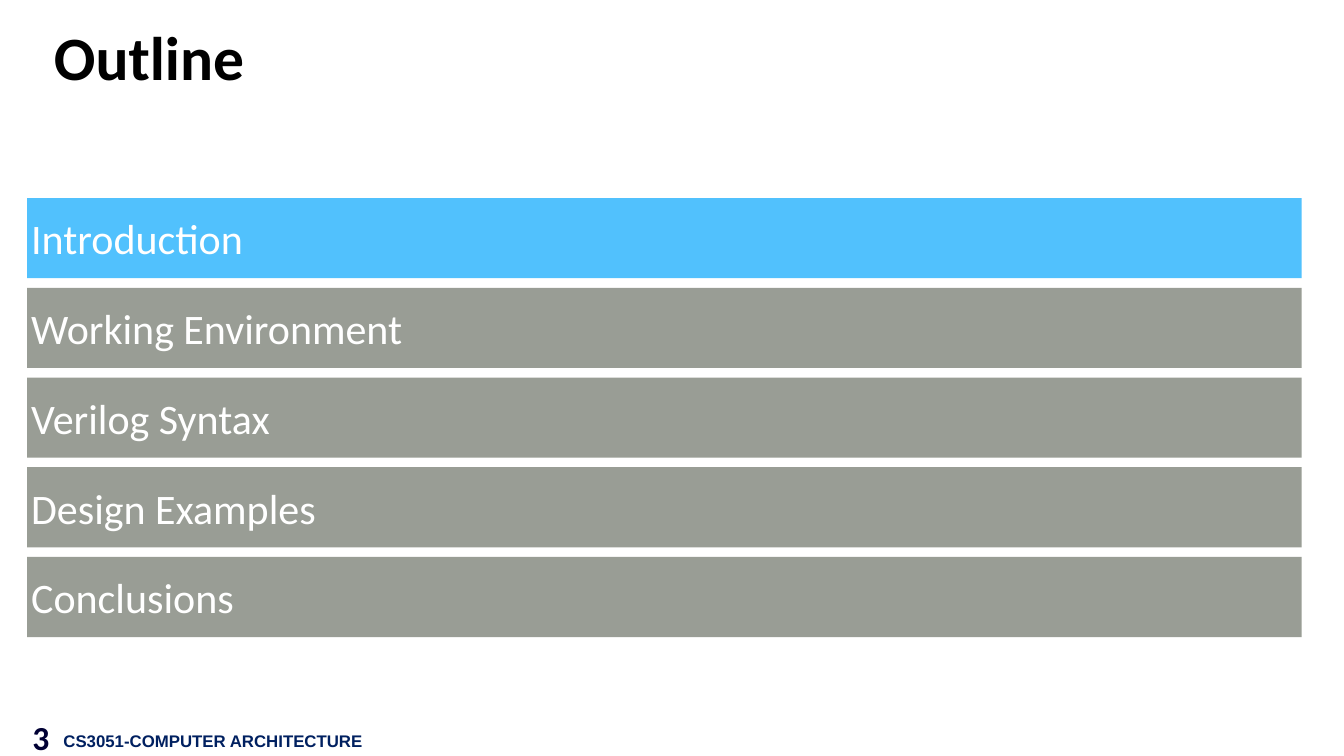
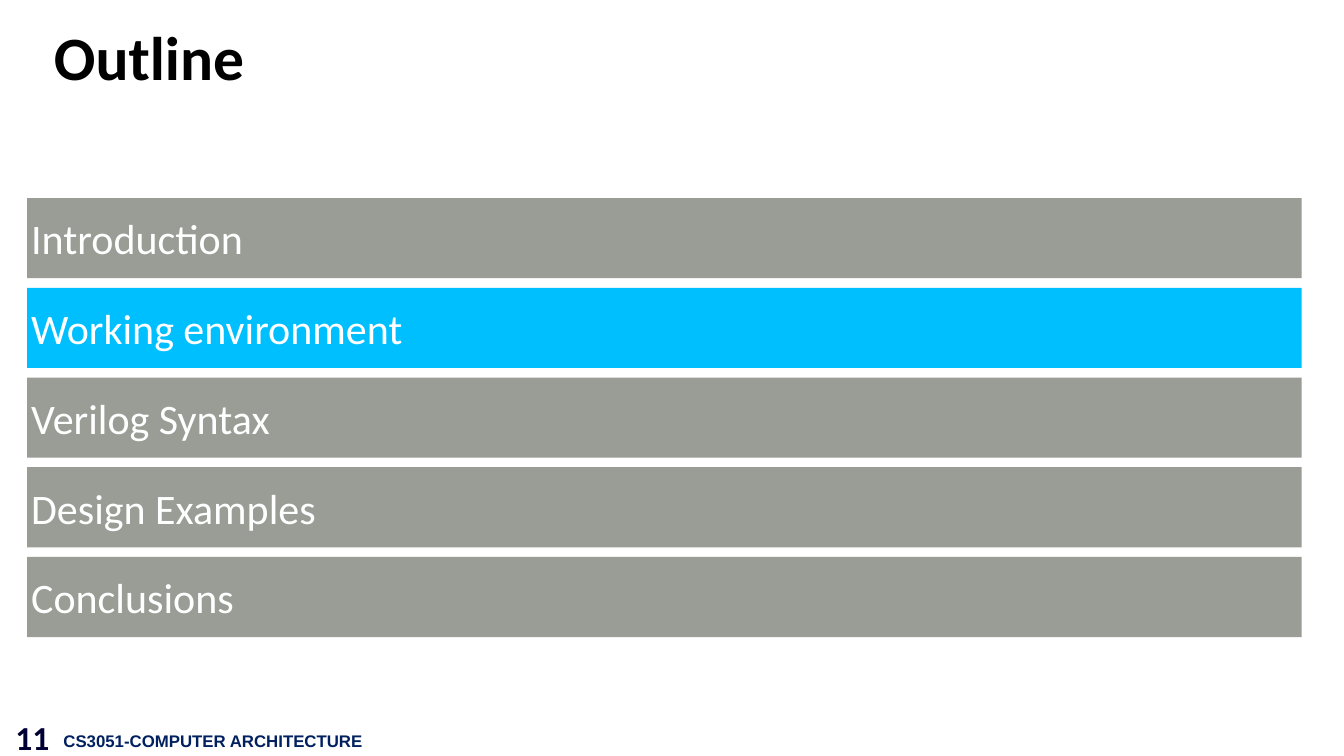
from collections import namedtuple

from pptx import Presentation
from pptx.dml.color import RGBColor
from pptx.enum.shapes import MSO_SHAPE as Shape
from pptx.enum.text import MSO_ANCHOR as Anchor, MSO_AUTO_SIZE as AutoSize, PP_ALIGN as Align
from pptx.util import Inches, Pt

SLIDE_WIDTH, SLIDE_HEIGHT = Inches(26.67), Inches(15)
COLUMN, ROW = SLIDE_WIDTH / 100, SLIDE_HEIGHT / 100
TITLE_ONLY = 5
COLORS = {
    "title": "000000",
    "number": "000034",
    "footer": "002060",
    "bar": "999D95",
    "bar_text": "FFFFFF",
    "introduction": "51C1FD",
    "environment": "00BFFF",
}

Box = namedtuple("Box", "left top width height")
TITLE_BOX = Box(3.64, 1.6, 91.08, 12.93)
AGENDA_BOX = Box(2.02, 26.2, 94.83, 58.07)
NUMBER_BOX = Box(0.3, 94.07, 3.75, 6.73)
FOOTER_BOX = Box(4.35, 96.33, 23.28, 3.33)
BAR_GAP = 1.27

OUTLINES = [
    (3, ["Introduction", "Working Environment", "Verilog Syntax", "Design Examples", "Conclusions"],
     0, "introduction"),
    (11, ["Introduction", "Working environment", "Verilog Syntax", "Design Examples", "Conclusions"],
     1, "environment"),
]


def place(box):
    """Turn a box in grid columns and rows into slide lengths."""
    return (round(box.left * COLUMN), round(box.top * ROW),
            round(box.width * COLUMN), round(box.height * ROW))


def write(shape, text, size, color, bold=True, font="Calibri", align=Align.LEFT, inset=0.1):
    """Fill a shape with one vertically centred line of text."""
    frame = shape.text_frame
    frame.text = text
    frame.word_wrap = True
    frame.auto_size = AutoSize.NONE
    frame.vertical_anchor = Anchor.MIDDLE
    frame.margin_left = frame.margin_right = Inches(inset)
    frame.margin_top = frame.margin_bottom = Inches(inset)
    paragraph = frame.paragraphs[0]
    paragraph.alignment = align
    run_font = paragraph.runs[0].font
    run_font.name, run_font.size, run_font.bold = font, Pt(size), bold
    run_font.color.rgb = RGBColor.from_string(COLORS[color])
    return frame


def add_title(slide, text, box):
    """Move and format the title placeholder."""
    title = slide.shapes.title
    title.left, title.top, title.width, title.height = place(box)
    frame = write(title, text, 88, "title")
    frame.paragraphs[0].line_spacing = 0.9


def add_footer(slide, number):
    """Add the course name and the slide number."""
    course = slide.shapes.add_textbox(*place(FOOTER_BOX))
    frame = write(course, "CS3051-COMPUTER ARCHITECTURE", 24, "footer", font="Arial")
    frame.margin_top = frame.margin_bottom = Inches(0.05)
    frame.word_wrap = False
    frame.auto_size = AutoSize.SHAPE_TO_FIT_TEXT
    number_box = slide.shapes.add_textbox(*place(NUMBER_BOX))
    write(number_box, str(number), 48, "number", align=Align.RIGHT)


def add_agenda(slide, topics, current, highlight, box):
    """Stack one bar per topic in the box and highlight the current one."""
    pitch = (box.height + BAR_GAP) / len(topics)
    for index, topic in enumerate(topics):
        bar_box = Box(box.left, box.top + index * pitch, box.width, pitch - BAR_GAP)
        bar = slide.shapes.add_shape(Shape.RECTANGLE, *place(bar_box))
        bar.shadow.inherit = False
        bar.fill.solid()
        color = highlight if index == current else "bar"
        bar.fill.fore_color.rgb = RGBColor.from_string(COLORS[color])
        bar.line.fill.background()
        write(bar, topic, 60, "bar_text", bold=False, inset=0.08)


def add_outline_slide(presentation, number, topics, current, highlight):
    """Add an outline slide with its title, agenda and footer."""
    slide = presentation.slides.add_slide(presentation.slide_layouts[TITLE_ONLY])
    add_title(slide, "Outline", TITLE_BOX)
    add_footer(slide, number)
    add_agenda(slide, topics, current, highlight, AGENDA_BOX)


def main():
    """Build and save the presentation."""
    presentation = Presentation()
    presentation.slide_width, presentation.slide_height = SLIDE_WIDTH, SLIDE_HEIGHT
    for outline in OUTLINES:
        add_outline_slide(presentation, *outline)
    presentation.save("out.pptx")


if __name__ == "__main__":
    main()
